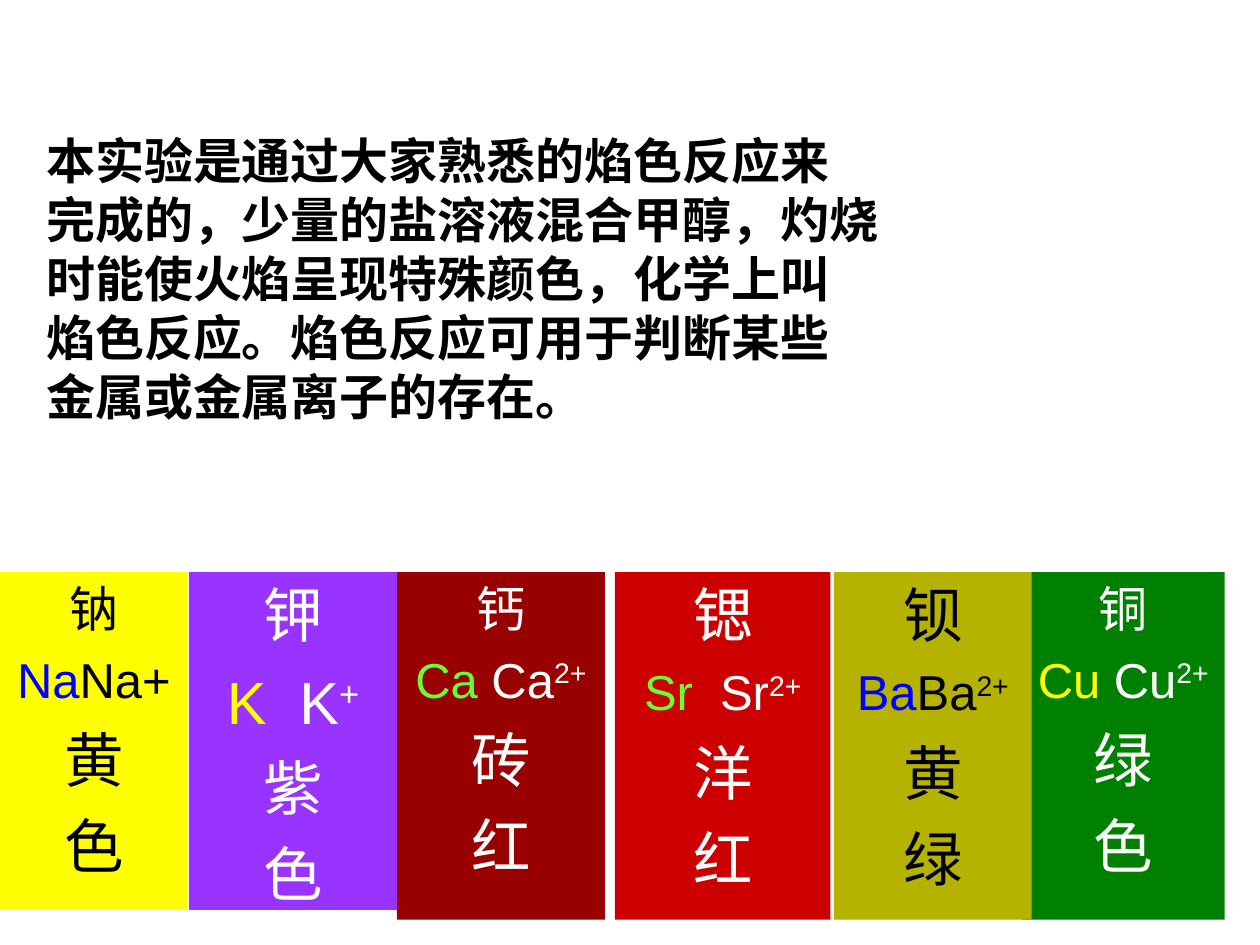
from lxml import etree
from pptx import Presentation
from pptx.dml.color import RGBColor
from pptx.enum import shapes, text
from pptx.oxml import ns
from pptx.util import Pt

BLACK = RGBColor(0x00, 0x00, 0x00)
WHITE = RGBColor(0xFF, 0xFF, 0xFF)
YELLOW = RGBColor(0xFF, 0xFF, 0x00)
BLUE = RGBColor(0x00, 0x00, 0xFF)
LIME = RGBColor(0x66, 0xFF, 0x33)
PURPLE = RGBColor(0x99, 0x33, 0xFF)
BRICK = RGBColor(0x99, 0x00, 0x00)
RED = RGBColor(0xCC, 0x00, 0x00)
OLIVE = RGBColor(0xB6, 0xB2, 0x00)
GREEN = RGBColor(0x00, 0x80, 0x00)

FONT = "Arial"
SMALL, LARGE = 28, 34
TILE_TOP = 326.9
SHORT, TALL = 193, 198.7

INTRO = [
    "本实验是通过大家熟悉的焰色反应来",
    "完成的，少量的盐溶液混合甲醇，灼烧",
    "时能使火焰呈现特殊颜色，化学上叫",
    "焰色反应。焰色反应可用于判断某些",
    "金属或金属离子的存在。",
]

# left, width, height, fill, text colour, accent, name, name size,
# (metal, ion, charge), formula size, flame colour
TILES = [
    (0, 107.3, SHORT, YELLOW, BLACK, BLUE, "钠", SMALL, ("Na", "Na+", ""), SMALL, "黄色"),
    (108, 118.8, SHORT, PURPLE, WHITE, YELLOW, "钾", LARGE, ("K", "  K", "+"), LARGE, "紫色"),
    (226.8, 118.8, TALL, BRICK, WHITE, LIME, "钙", SMALL, ("Ca", " Ca", "2+"), SMALL, "砖红"),
    (351.4, 123.1, TALL, RED, WHITE, LIME, "锶", LARGE, ("Sr", "  Sr", "2+"), SMALL, "洋红"),
    (476.6, 113, TALL, OLIVE, BLACK, BLUE, "钡", LARGE, ("Ba", "Ba", "2+"), SMALL, "黄绿"),
    (583.9, 115.9, TALL, GREEN, WHITE, YELLOW, "铜", SMALL, ("Cu ", "Cu", "2+"), SMALL, "绿色"),
]


def add_box(s, left, top, width, height, fill):
    sp = s.shapes.add_shape(shapes.MSO_SHAPE.RECTANGLE, Pt(left), Pt(top), Pt(width), Pt(height))
    sp.shadow.inherit = False
    sp.fill.solid()
    sp.fill.fore_color.rgb = fill
    sp.line.fill.background()
    sp.text_frame.word_wrap = True
    sp.text_frame.vertical_anchor = text.MSO_ANCHOR.TOP
    return sp


def add_lines(tf, lines, align, gap=0):
    for i, (size, runs) in enumerate(lines):
        p = tf.add_paragraph() if i else tf.paragraphs[0]
        p.alignment = align
        p.space_before = Pt(size * gap if i else 0)
        for words, color, raised in runs:
            r = p.add_run()
            r.text = words
            r.font.name = FONT
            r.font.size = Pt(size)
            r.font.color.rgb = color
            if raised:
                r.font._element.set("baseline", "30000")


def add_intro(s):
    sp = add_box(s, 19.4, 71.3, 499, 175.7, WHITE)
    color = sp._element.spPr.find(ns.qn("a:solidFill"))[0]
    etree.SubElement(color, ns.qn("a:alpha"), val="38000")
    tf = sp.text_frame
    tf.auto_size = text.MSO_AUTO_SIZE.SHAPE_TO_FIT_TEXT
    add_lines(tf, [(SMALL, [(line, BLACK, False)]) for line in INTRO], text.PP_ALIGN.LEFT)
    for p in tf.paragraphs:
        for r in p.runs:
            r.font.bold = True


def add_tile(s, left, width, height, fill, color, accent, name, name_size, formula, formula_size, flame):
    metal, ion, charge = formula
    formula_runs = [(metal, accent, False), (ion, color, False)]
    if charge:
        formula_runs.append((charge, color, True))
    lines = [(name_size, [(name, color, False)]), (formula_size, formula_runs)]
    lines += [(LARGE, [(char, color, False)]) for char in flame]
    sp = add_box(s, left, TILE_TOP, width, height, fill)
    add_lines(sp.text_frame, lines, text.PP_ALIGN.CENTER, gap=0.25)


def main():
    prs = Presentation()
    prs.slide_width, prs.slide_height = Pt(720), Pt(540)
    s = prs.slides.add_slide(prs.slide_layouts[6])
    add_intro(s)
    for tile in reversed(TILES):
        add_tile(s, *tile)
    prs.save("out.pptx")


if __name__ == "__main__":
    main()
